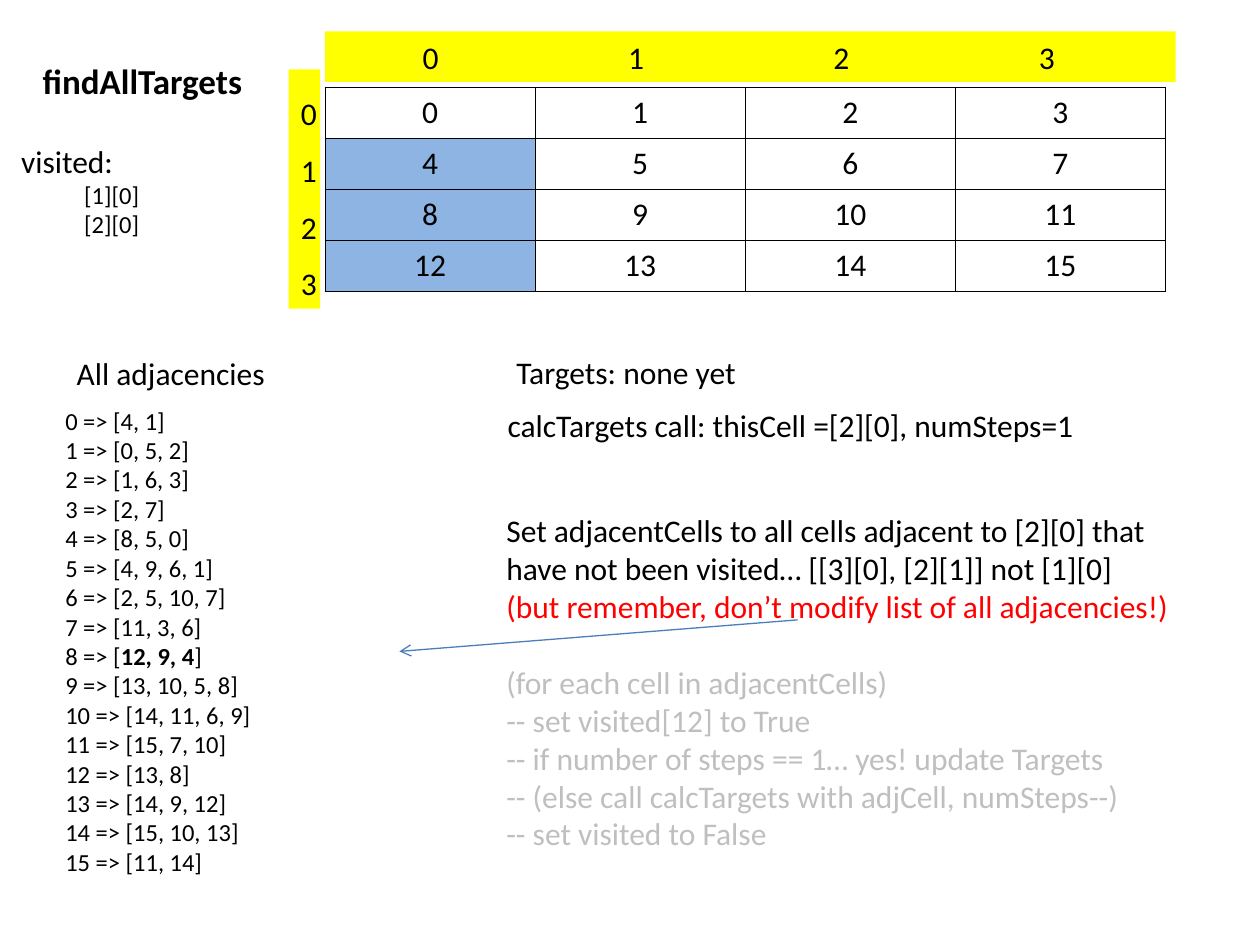
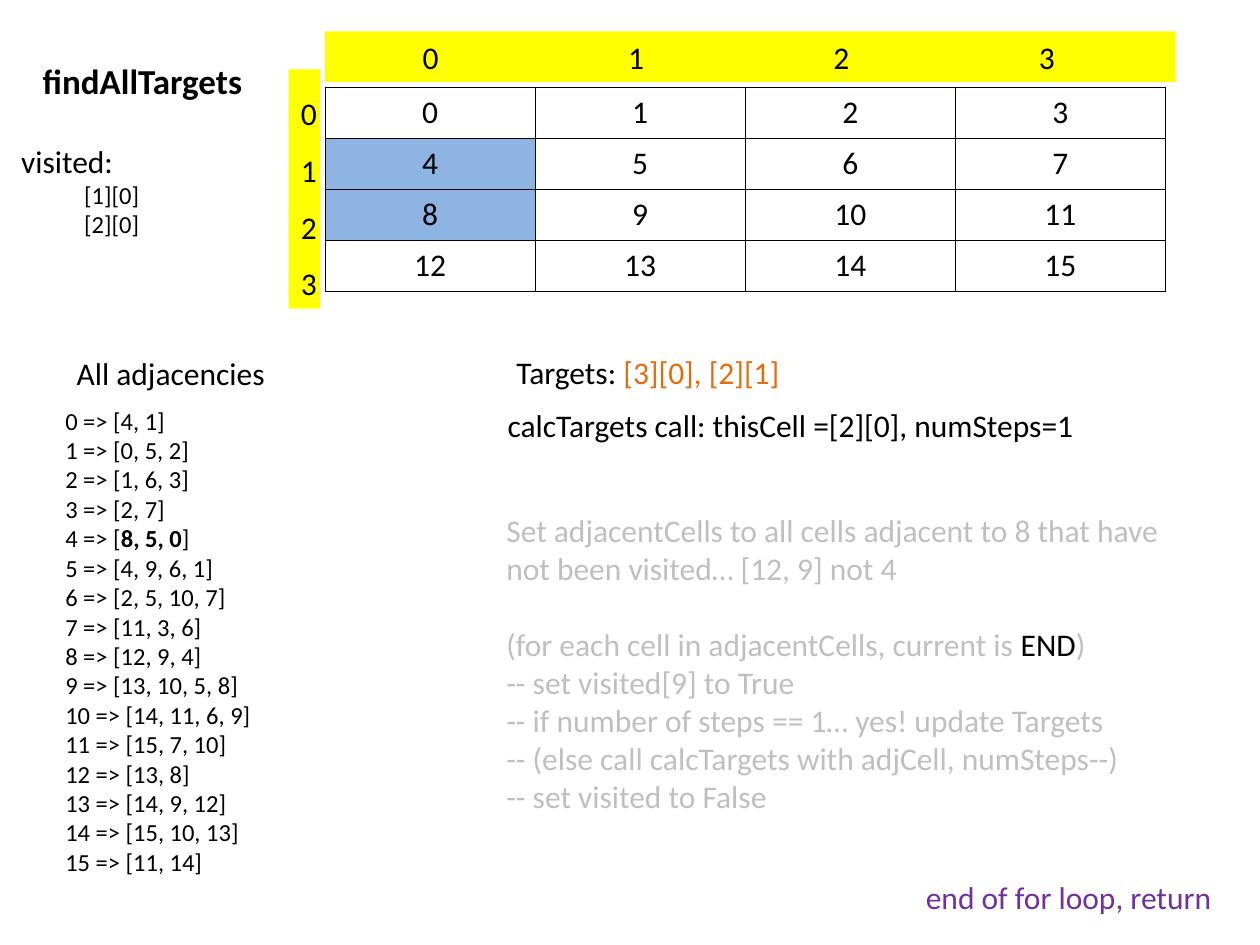
from dataclasses import dataclass

from lxml import etree
from pptx import Presentation
from pptx.dml.color import RGBColor
from pptx.enum import shapes, text
from pptx.oxml.ns import qn
from pptx.util import Inches, Pt


@dataclass(frozen=True)
class Theme:
    font: str = "Calibri"
    title: int = 20
    body: int = 18
    small: int = 14
    black: str = "000000"
    white: str = "FFFFFF"
    band: str = "FFFF00"
    visited: str = "8EB4E3"
    muted: str = "BFBFBF"
    warning: str = "FF0000"
    target: str = "E46C0A"
    finish: str = "7030A0"
    arrow: str = "4A7EBB"
    border_pt: float = 0.45


T = Theme()
GRID = 4
ADJACENCIES = [
    "4, 1", "0, 5, 2", "1, 6, 3", "2, 7",
    "8, 5, 0", "4, 9, 6, 1", "2, 5, 10, 7", "11, 3, 6",
    "12, 9, 4", "13, 10, 5, 8", "14, 11, 6, 9", "15, 7, 10",
    "13, 8", "14, 9, 12", "15, 10, 13", "11, 14",
]
LOOP_STEPS = [
    "-- if number of steps == 1… yes! update Targets",
    "-- (else call calcTargets with adjCell, numSteps--)",
    "-- set visited to False",
]


def rgb(value):
    return RGBColor.from_string(value)


def style(font, size=T.body, color=T.black, bold=False):
    font.name, font.size, font.bold = T.font, Pt(size), bold
    font.color.rgb = rgb(color)


def write(tf, lines, size=T.body, color=T.black, bold=False):
    """Fill a frame; a line is a string or a list of (text, run style) pairs."""
    for i, line in enumerate(lines):
        p = tf.paragraphs[0] if i == 0 else tf.add_paragraph()
        style(p.font, size, color, bold)
        for words, special in [(line, {})] if isinstance(line, str) else line:
            r = p.add_run()
            r.text = words
            if special:
                style(r.font, **{"size": size, "color": color, **special})


def add_text(s, box, lines, wrap=False, **look):
    tf = s.shapes.add_textbox(*map(Inches, box)).text_frame
    tf.word_wrap = wrap
    tf.auto_size = text.MSO_AUTO_SIZE.SHAPE_TO_FIT_TEXT
    write(tf, lines, **look)
    return tf


def add_band(s, box):
    sp = s.shapes.add_shape(shapes.MSO_SHAPE.RECTANGLE, *map(Inches, box))
    sp.shadow.inherit = False
    sp.fill.solid()
    sp.fill.fore_color.rgb = rgb(T.band)
    sp.line.fill.background()
    tf = sp.text_frame
    tf.word_wrap = True
    tf.vertical_anchor = text.MSO_ANCHOR.TOP
    return tf


def add_column_band(s, box):
    tf = add_band(s, box)
    p = tf.paragraphs[0]
    p.alignment = text.PP_ALIGN.LEFT
    # One centred tab stop per column
    tabs = etree.SubElement(p._p.get_or_add_pPr(), qn("a:tabLst"))
    for col in range(GRID):
        etree.SubElement(tabs, qn("a:tab"), pos=str(Inches(0.74 + 1.63 * col)), algn="ctr")
    write(tf, ["".join(f"\t{col}" for col in range(GRID))])


def add_row_band(s, box):
    tf = add_band(s, box)
    write(tf, [str(row) for row in range(GRID)])
    for p in tf.paragraphs:
        p.alignment = text.PP_ALIGN.LEFT
        p.line_spacing = 1.5


def add_border(cell):
    tc_pr = cell._tc.get_or_add_tcPr()
    for side in ("lnL", "lnR", "lnT", "lnB"):
        ln = etree.SubElement(tc_pr, qn(f"a:{side}"), w=str(Pt(T.border_pt)))
        fill = etree.SubElement(ln, qn("a:solidFill"))
        etree.SubElement(fill, qn("a:srgbClr"), val=T.black)


def add_board(s, box, marked):
    x, y, w, h = box
    add_column_band(s, (x, y - 0.44, w + 0.08, 0.4))
    add_row_band(s, (x - 0.29, y - 0.14, 0.25, 1.9))

    # Numbered cells
    table = s.shapes.add_table(GRID, GRID, *map(Inches, box)).table
    table.first_row = table.horz_banding = False
    for i in range(GRID):
        table.columns[i].width = Inches(w / GRID)
        table.rows[i].height = Inches(h / GRID)
    for number in range(GRID * GRID):
        cell = table.cell(*divmod(number, GRID))
        add_border(cell)
        cell.fill.solid()
        cell.fill.fore_color.rgb = rgb(T.visited if number in marked else T.white)
        write(cell.text_frame, [str(number)])
        cell.text_frame.paragraphs[0].alignment = text.PP_ALIGN.CENTER


def add_visited(s, box, cells):
    tf = add_text(s, box, ["visited:"] + cells, wrap=True)
    for p in tf.paragraphs[1:]:
        p._p.get_or_add_pPr().set("marL", str(Inches(0.5)))
        p.font.size = Pt(T.small)


def add_adjacencies(s, box, current):
    x, y, w, h = box
    add_text(s, (x + 0.09, y, 1.69, 0.4), ["All adjacencies"])
    lines = [f"{cell} => [{near}]" for cell, near in enumerate(ADJACENCIES)]
    lines[current] = [(f"{current} => [", {}), (ADJACENCIES[current], {"bold": True}), ("]", {})]
    add_text(s, (x, y + 0.41, w, h - 0.41), lines, size=T.small)


def add_call(s, box, targets, targets_width, steps, loop_start, **look):
    x, y, w, h = box
    add_text(s, (x + 0.08, y, targets_width, 0.4), [targets])
    add_text(s, (x + 0.01, y + 0.42, 4.73, 0.4),
             ["calcTargets call: thisCell =[2][0], numSteps=1"])
    tf = add_text(s, (x, y + 1.26, w, h - 1.26), steps + LOOP_STEPS, wrap=True, **look)
    # One line of space above the loop
    tf.paragraphs[loop_start].space_before = Pt(22)


def add_arrow(s, start, end):
    c = s.shapes.add_connector(shapes.MSO_CONNECTOR.STRAIGHT, *map(Inches, start + end))
    c.line.color.rgb = rgb(T.arrow)
    c.line.width = Pt(0.75)
    etree.SubElement(c.line._get_or_add_ln(), qn("a:tailEnd"), type="arrow")
    etree.SubElement(c._element.spPr, qn("a:effectLst"))


def add_trace_slide(prs, marked, current):
    s = prs.slides.add_slide(prs.slide_layouts[6])
    add_board(s, (2.58, 0.69, 6.67, 1.62), marked)
    add_text(s, (0.24, 0.42, 1.81, 0.44), ["findAllTargets"], size=T.title, bold=True)
    add_visited(s, (0.07, 1.08, 1.76, 0.87), ["[1][0]", "[2][0]"])
    add_adjacencies(s, (0.42, 2.76, 1.67, 4.25), current)
    return s


def main():
    prs = Presentation()
    prs.slide_width, prs.slide_height = Inches(10), Inches(7.5)
    muted = {"color": T.muted}

    # Finding the adjacent cells
    s = add_trace_slide(prs, marked={4, 8, 12}, current=8)
    add_call(s, (3.92, 2.75, 5.75, 4.06), "Targets: none yet", 1.97, [
        [("Set adjacentCells to all cells adjacent to [2][0] that have not been visited… "
          "[[3][0], [2][1]] not [1][0]", {"color": T.black})],
        [("(but remember, don’t modify list of all adjacencies!)", {"color": T.warning})],
        "(for each cell in adjacentCells)",
        "-- set visited[12] to True",
    ], loop_start=2, **muted)
    add_arrow(s, (6.33, 4.92), (3.17, 5.17))

    # Leaving the loop
    s = add_trace_slide(prs, marked={4, 8}, current=4)
    targets = [("Targets: ", {}), ("[3][0], [2][1]", {"color": T.target})]
    add_call(s, (3.92, 2.75, 5.75, 3.76), targets, 2.31, [
        "Set adjacentCells to all cells adjacent to 8 that have not been visited… [12, 9] not 4",
        [("(for each cell in adjacentCells, current is ", {}),
         ("END", {"color": T.black}), (")", {})],
        "-- set visited[9] to True",
    ], loop_start=1, **muted)
    add_text(s, (7.25, 6.92, 2.5, 0.4), ["end of for loop, return"], wrap=True, color=T.finish)

    prs.save("out.pptx")


if __name__ == "__main__":
    main()
